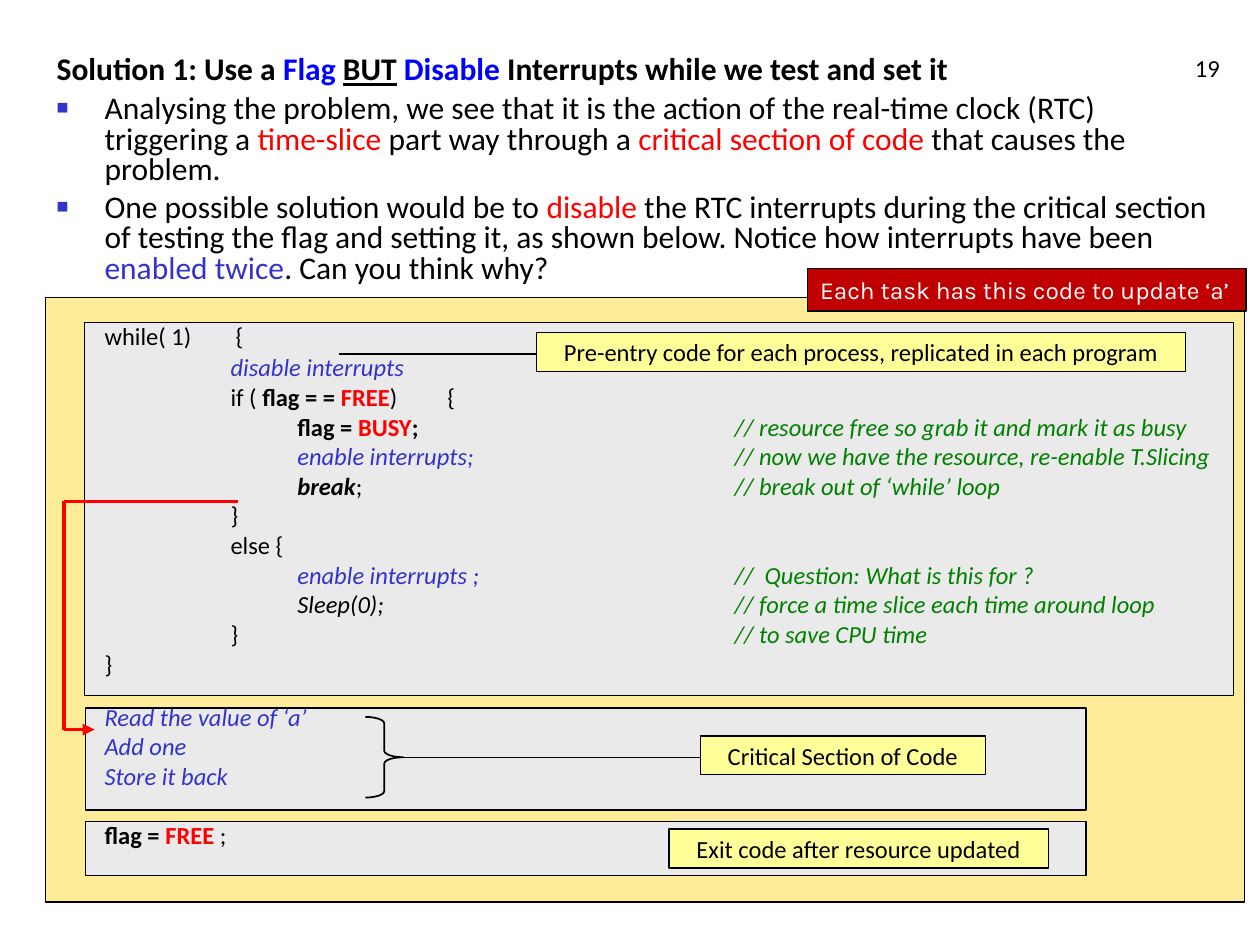
from itertools import pairwise
from lxml import etree
from pptx import Presentation
from pptx.dml.color import RGBColor
from pptx.enum.shapes import MSO_CONNECTOR, MSO_SHAPE
from pptx.enum.text import MSO_ANCHOR, MSO_AUTO_SIZE, PP_ALIGN
from pptx.oxml.ns import qn
from pptx.util import Inches, Pt

RECT, BRACE = MSO_SHAPE.RECTANGLE, MSO_SHAPE.RIGHT_BRACE
STRAIGHT = MSO_CONNECTOR.STRAIGHT
TOP, MIDDLE, BOTTOM = MSO_ANCHOR.TOP, MSO_ANCHOR.MIDDLE, MSO_ANCHOR.BOTTOM
LEFT, CENTER, RIGHT = PP_ALIGN.LEFT, PP_ALIGN.CENTER, PP_ALIGN.RIGHT

FONT, BLACK, RED, VIOLET = "Calibri", "000000", "FF0000", "3333CC"
TIGHT = 0.8

# Run styles: colour, then b(old), i(talic), u(nderlined)
STYLES = {
    "text": (BLACK, ""), "bold": (BLACK, "b"), "under": (BLACK, "bu"),
    "blue": ("0000FF", "b"), "red": (RED, ""), "value": (RED, "b"),
    "violet": (VIOLET, ""), "call": (VIOLET, "i"), "ital": (BLACK, "i"),
    "key": (BLACK, "bi"), "note": ("008000", "i"), "white": ("FFFFFF", ""),
}

TITLE = [("Solution 1: Use a ", "bold"), ("Flag ", "blue"), ("BUT", "under"),
         (" ", "bold"), ("Disable", "blue"),
         (" Interrupts while we test and set it", "bold")]

BULLETS = [
    [("Analysing the problem, we see that it is the action of the real-time "
      "clock (RTC) triggering a ", "text"), ("time-slice", "red"),
     (" part way through a ", "text"), ("critical section of code", "red"),
     (" that causes the problem.", "text")],
    [("One possible solution would be to ", "text"), ("disable", "red"),
     (" the RTC interrupts during the critical section of testing the flag "
      "and setting it, as shown below. Notice how interrupts have been ",
      "text"), ("enabled twice", "violet"), (". Can you think why?", "text")],
]

# Left margins of the three code levels, and the columns tabs lead to
OUTER, INNER, DEEP = 0.38, 1.38, 1.91
OPEN, TEST, NOTE = 1.42, 3.1, 5.38
GAP = 3.5

# Code lines: space before, margin, tab column, runs
CODE = [
    (23.7, OUTER, OPEN, [("while( 1)\t{", "text")]),
    (4.5, INNER, NOTE, [("disable interrupts", "call")]),
    (GAP, INNER, TEST, [("if ( ", "text"), ("flag = = ", "bold"),
                        ("FREE", "value"), (")\t{", "text")]),
    (GAP, DEEP, NOTE, [
        ("flag = ", "bold"), ("BUSY", "value"), (";\t", "bold"),
        ("// resource free so grab it and mark it as busy", "note")]),
    (GAP, DEEP, NOTE, [
        ("enable interrupts;\t", "call"),
        ("// now we have the resource, re-enable T.Slicing", "note")]),
    (GAP, DEEP, NOTE, [("break", "key"), (";\t", "text"),
                       ("// break out of ‘while’ loop", "note")]),
    (GAP, INNER, NOTE, [("}", "text")]),
    (GAP, INNER, NOTE, [("else {", "text")]),
    (GAP, DEEP, NOTE, [("enable interrupts ;\t", "call"),
                       ("//  Question: What is this for ?", "note")]),
    (GAP, DEEP, NOTE, [("Sleep(0);\t", "ital"),
                       ("// force a time slice each time around loop",
                        "note")]),
    (GAP, INNER, NOTE, [("}\t", "text"), ("// to save CPU time", "note")]),
    (GAP, OUTER, NOTE, [("}", "text")]),
    (17, OUTER, NOTE, [("Read the value of ‘a’", "call")]),
    (GAP, OUTER, NOTE, [("Add one", "call")]),
    (GAP, OUTER, NOTE, [("Store it back", "call")]),
    (20, OUTER, NOTE, [("flag = ", "bold"), ("FREE", "value"),
                       (" ;", "text")]),
]

PANELS = [((0.36, 2.36, 9.52, 4.8), "FFEC99"),
          ((0.67, 2.56, 9.12, 2.96), "EAEAEA"),
          ((0.68, 6.52, 7.94, 0.43), "EAEAEA"),
          ((0.68, 5.62, 7.94, 0.81), "EAEAEA")]

LEADS = [((3.19, 6.01), (5.88, 6.01)), ((2.69, 2.81), (7.72, 2.81))]
JUMP = [(1.89, 3.98), (0.51, 3.98), (0.51, 5.79), (0.75, 5.79)]

# Labels: box, fill, text, style, font, alignment
YELLOW = "FFFF99"
LABELS = [
    ((5.31, 6.58, 3.01, 0.31), YELLOW, "Exit code after resource updated",
     "text", FONT, CENTER),
    ((5.56, 5.84, 2.26, 0.31), YELLOW, "Critical Section of Code",
     "text", FONT, CENTER),
    ((4.26, 2.64, 5.15, 0.31), YELLOW,
     "Pre-entry code for each process, replicated in each program",
     "text", FONT, CENTER),
    ((6.41, 2.13, 3.48, 0.34), "C00000",
     "Each task has this code to update ‘a’", "white", "Karla", LEFT),
]


def color(fmt, code):
    """Set a fill's or font's colour from a hex string."""
    fmt.rgb = RGBColor.from_string(code)


def write(para, runs, size, font=FONT):
    """Add styled runs to a paragraph."""
    for text, style in runs:
        run = para.add_run()
        run.text = text
        code, marks = STYLES[style]
        face = run.font
        face.name, face.size = font, Pt(size)
        face.bold, face.italic = "b" in marks, "i" in marks
        face.underline = "u" in marks
        color(face.color, code)


def space(para, before):
    """Set the tight line spacing and the gap above a paragraph."""
    para.line_spacing, para.space_before = TIGHT, Pt(before)


def node(parent, tag, **attrs):
    """Append a drawing element with attributes."""
    return etree.SubElement(parent, qn(tag), attrs)


def indent(para, margin, hang):
    """Set the left margin and hanging indent; return the properties."""
    props = para._p.get_or_add_pPr()
    props.set("marL", str(Inches(margin)))
    props.set("indent", str(-Inches(hang)))
    return props


def bullet(para):
    """Give a paragraph a small square bullet."""
    props = indent(para, OUTER, OUTER)
    node(node(props, "a:buClr"), "a:srgbClr", val=VIOLET)
    node(props, "a:buSzPct", val="40000")
    node(props, "a:buFont", typeface=FONT)
    node(props, "a:buChar", char="■")


def level(para, margin, column):
    """Indent a code line and let its tab lead to a column."""
    props = indent(para, margin, 0)
    props.set("defTabSz", str(Inches(column - margin)))
    node(props, "a:buNone")
    node(node(props, "a:tabLst"), "a:tab", pos=str(Inches(column)), algn="l")


def place(shape, box):
    """Move and size a shape."""
    shape.left, shape.top, shape.width, shape.height = map(Inches, box)


def frame(shape, anchor, wrap=True):
    """Prepare a text frame and return it."""
    text = shape.text_frame
    text.auto_size, text.word_wrap = MSO_AUTO_SIZE.NONE, wrap
    text.vertical_anchor = anchor
    return text


def shape(kind, box, fill=None, width=0.74):
    """Add a black-edged shape without shadow."""
    item = slide.shapes.add_shape(kind, *map(Inches, box))
    item.shadow.inherit = False
    if fill:
        item.fill.solid()
        color(item.fill.fore_color, fill)
    else:
        item.fill.background()
    color(item.line.color, BLACK)
    item.line.width = Pt(width)
    return item


def line(start, end, code=BLACK, width=0.74):
    """Add a straight connector and return it."""
    item = slide.shapes.add_connector(STRAIGHT, *map(Inches, start + end))
    color(item.line.color, code)
    item.line.width = Pt(width)
    node(item._element.spPr, "a:effectLst")
    return item


deck = Presentation()
deck.slide_width, deck.slide_height = Inches(10), Inches(7.5)
slide = deck.slides.add_slide(deck.slide_layouts[1])
title, body = slide.placeholders

for box, fill in PANELS:
    shape(RECT, box, fill)

page = slide.shapes.add_textbox(*map(Inches, (7.7, 0.2, 2.08, 0.5)))
para = frame(page, BOTTOM).paragraphs[0]
para.alignment = RIGHT
write(para, [("19", "text")], 14)

place(title, (0.35, 0.4, 8.4, 0.35))
para = frame(title, TOP).paragraphs[0]
para.alignment = LEFT
space(para, 0)
write(para, TITLE, 18)

place(body, (0.35, 0.71, 9.44, 6.69))
slide.shapes._spTree.append(body._element)
text = frame(body, TOP)
for spot, runs in enumerate(BULLETS):
    para = text.add_paragraph() if spot else text.paragraphs[0]
    space(para, 4.5)
    bullet(para)
    write(para, runs, 18)
for before, margin, column, runs in CODE:
    para = text.add_paragraph()
    space(para, before)
    level(para, margin, column)
    write(para, runs, 14)

for start, end in pairwise(JUMP):
    last = line(start, end, RED, 2.24)
node(last.line._get_or_add_ln(), "a:tailEnd", type="triangle")

shape(BRACE, (2.9, 5.69, 0.3, 0.64), width=0.99).adjustments[0] = 0.17
for start, end in LEADS:
    line(start, end)

for box, fill, words, style, font, align in LABELS:
    para = frame(shape(RECT, box, fill), MIDDLE, False).paragraphs[0]
    para.alignment = align
    write(para, [(words, style)], 14, font)

deck.save("out.pptx")
